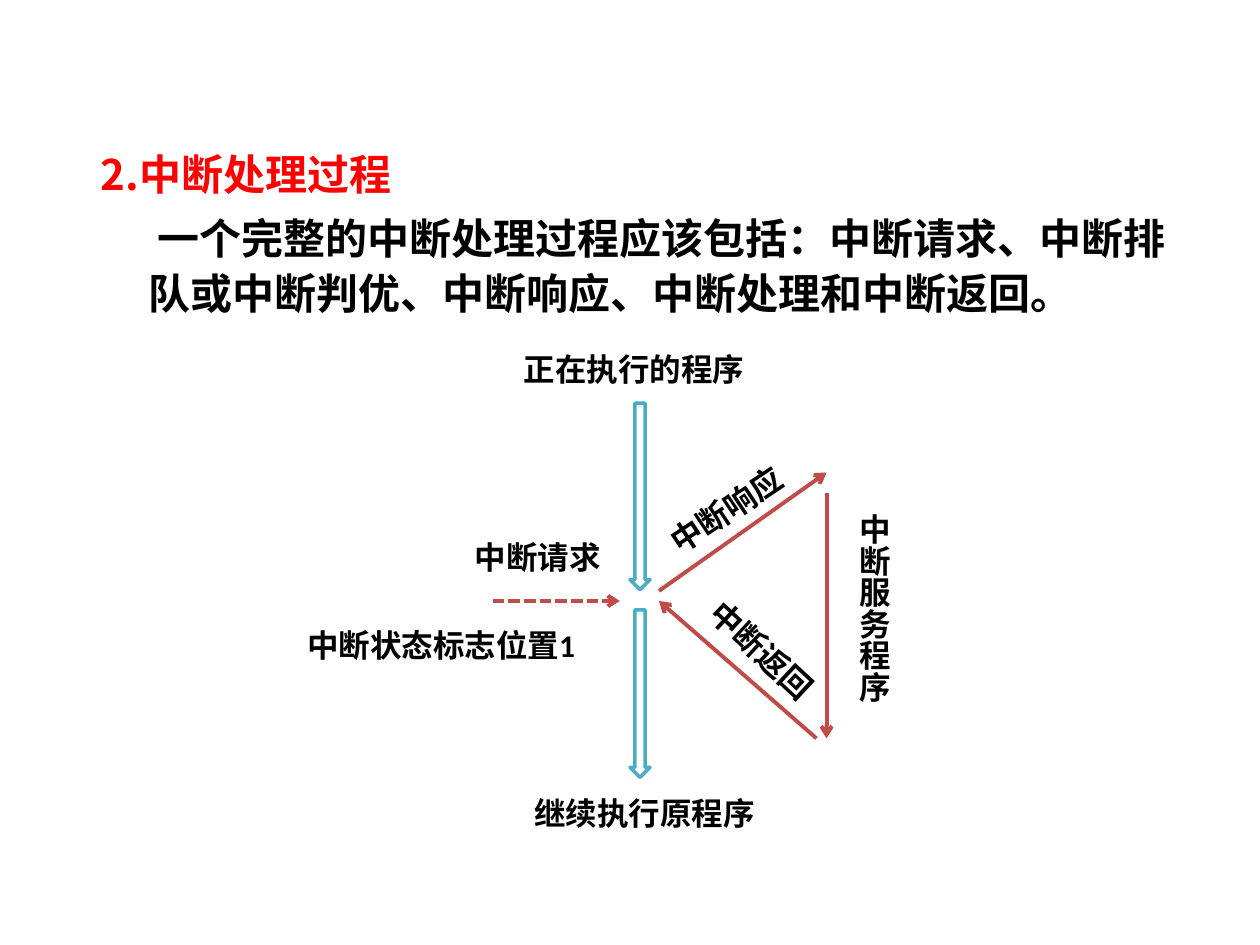
from lxml import etree
from pptx import Presentation
from pptx.dml.color import RGBColor
from pptx.enum.dml import MSO_LINE
from pptx.enum.shapes import MSO_CONNECTOR, MSO_SHAPE
from pptx.enum.text import MSO_ANCHOR, MSO_AUTO_SIZE, PP_ALIGN
from pptx.oxml.ns import qn
from pptx.util import Inches, Pt

RED = RGBColor(0xFF, 0x00, 0x00)
BLACK = RGBColor(0x00, 0x00, 0x00)
WHITE = RGBColor(0xFF, 0xFF, 0xFF)
TEAL = RGBColor(0x4B, 0xAC, 0xC6)
BRICK = RGBColor(0xBF, 0x4C, 0x48)

STRAIGHT = MSO_CONNECTOR.STRAIGHT
DOWN_ARROW = MSO_SHAPE.DOWN_ARROW
DASH = MSO_LINE.SQUARE_DOT
LEFT = PP_ALIGN.LEFT
TOP = MSO_ANCHOR.TOP
GROW = MSO_AUTO_SIZE.SHAPE_TO_FIT_TEXT

BODY_FONT = {"name": "Noto Sans CJK SC", "size": Pt(24), "bold": True}
LABEL_FONT = {"name": "Calibri", "size": Pt(18), "bold": True}
BODY_PARAGRAPH = {"line_spacing": 1.1, "space_before": Pt(4.8), "alignment": LEFT}
HANGING = 0.38


def apply_format(target, values):
    """Set every attribute named in a dict of format values."""
    for name, value in values.items():
        setattr(target, name, value)


class FlowSlide:
    """The current slide and the style of its elements."""

    def __init__(self, slide):
        """Keep the slide to draw on."""
        self.slide = slide

    def add_text(self, paragraph, text, font, color):
        """Add one formatted run to a paragraph."""
        run = paragraph.add_run()
        run.text = text
        apply_format(run.font, font)
        run.font.color.rgb = color

    def body(self, box, paragraphs):
        """Fill the body placeholder with (text, colour, indent) paragraphs."""
        holder = self.slide.placeholders[1]
        apply_format(holder, dict(zip(("left", "top", "width", "height"), map(Inches, box))))
        frame = holder.text_frame
        frame.vertical_anchor = TOP
        for index, (text, color, indent) in enumerate(paragraphs):
            paragraph = frame.add_paragraph() if index else frame.paragraphs[0]
            apply_format(paragraph, BODY_PARAGRAPH)
            properties = paragraph._p.get_or_add_pPr()
            properties.set("marL", str(Inches(HANGING)))
            properties.set("indent", str(Inches(indent)))
            etree.SubElement(properties, qn("a:buNone"))
            self.add_text(paragraph, text, BODY_FONT, color)

    def label(self, text, box, rotation=0, vertical=False):
        """Add a diagram label, optionally turned or set vertically."""
        holder = self.slide.shapes.add_textbox(*map(Inches, box))
        holder.rotation = rotation
        frame = holder.text_frame
        apply_format(frame, {"word_wrap": True, "auto_size": GROW})
        if vertical:
            frame._txBody.bodyPr.set("vert", "eaVert")
        self.add_text(frame.paragraphs[0], text, LABEL_FONT, BLACK)

    def program_arrow(self, top, height):
        """Add a block arrow on the axis of the main program."""
        arrow = self.slide.shapes.add_shape(
            DOWN_ARROW, *map(Inches, (5, top, 0.16, height)))
        arrow.shadow.inherit = False
        arrow.fill.solid()
        arrow.fill.fore_color.rgb = WHITE
        arrow.line.color.rgb = TEAL
        arrow.line.width = Pt(2)

    def flow_arrow(self, start, end, dash=None):
        """Add a line with an open arrowhead at its end."""
        arrow = self.slide.shapes.add_connector(STRAIGHT, *map(Inches, start + end))
        arrow.line.color.rgb = BRICK
        apply_format(arrow.line, {"width": Pt(2.25), "dash_style": dash})
        etree.SubElement(arrow.line._get_or_add_ln(), qn("a:tailEnd"), type="arrow")
        etree.SubElement(arrow._element.spPr, qn("a:effectLst"))


def main():
    """Build the interrupt handling slide."""
    deck = Presentation()
    apply_format(deck, {"slide_width": Inches(10), "slide_height": Inches(7.5)})
    slide = deck.slides.add_slide(deck.slide_layouts[1])
    title = slide.shapes.title._element
    title.getparent().remove(title)

    flow = FlowSlide(slide)
    flow.body((0.7, 1.09, 8.67, 5.61), [
        ("2.中断处理过程", RED, -HANGING),
        ("一个完整的中断处理过程应该包括：中断请求、中断排队或中断判优、"
         "中断响应、中断处理和中断返回。", BLACK, 0.07),
    ])

    for top, height in ((3.2, 1.48), (4.84, 1.33)):
        flow.program_arrow(top, height)

    flow.flow_arrow((3.91, 4.77), (4.92, 4.77), DASH)
    for start, end in (
        ((5.23, 4.69), (6.56, 3.75)),
        ((6.56, 3.91), (6.56, 5.86)),
        ((6.48, 5.86), (5.23, 4.77)),
    ):
        flow.flow_arrow(start, end)

    for text, box, rotation in (
        ("正在执行的程序", (4.06, 2.73, 2.11, 0.4), 0),
        ("中断请求", (3.67, 4.22, 1.25, 0.4), 0),
        ("继续执行原程序", (4.14, 6.25, 2.11, 0.4), 0),
        ("中断响应", (5.16, 3.83, 1.25, 0.4), 326.2),
        ("中断返回", (5.44, 4.98, 1.25, 0.4), 43),
        ("中断状态标志位置1", (2.34, 4.92, 2.5, 0.4), 0),
    ):
        flow.label(text, box, rotation)
    flow.label("中断服务程序", (6.64, 3.98, 0.5, 1.88), vertical=True)

    deck.save("out.pptx")


main()
